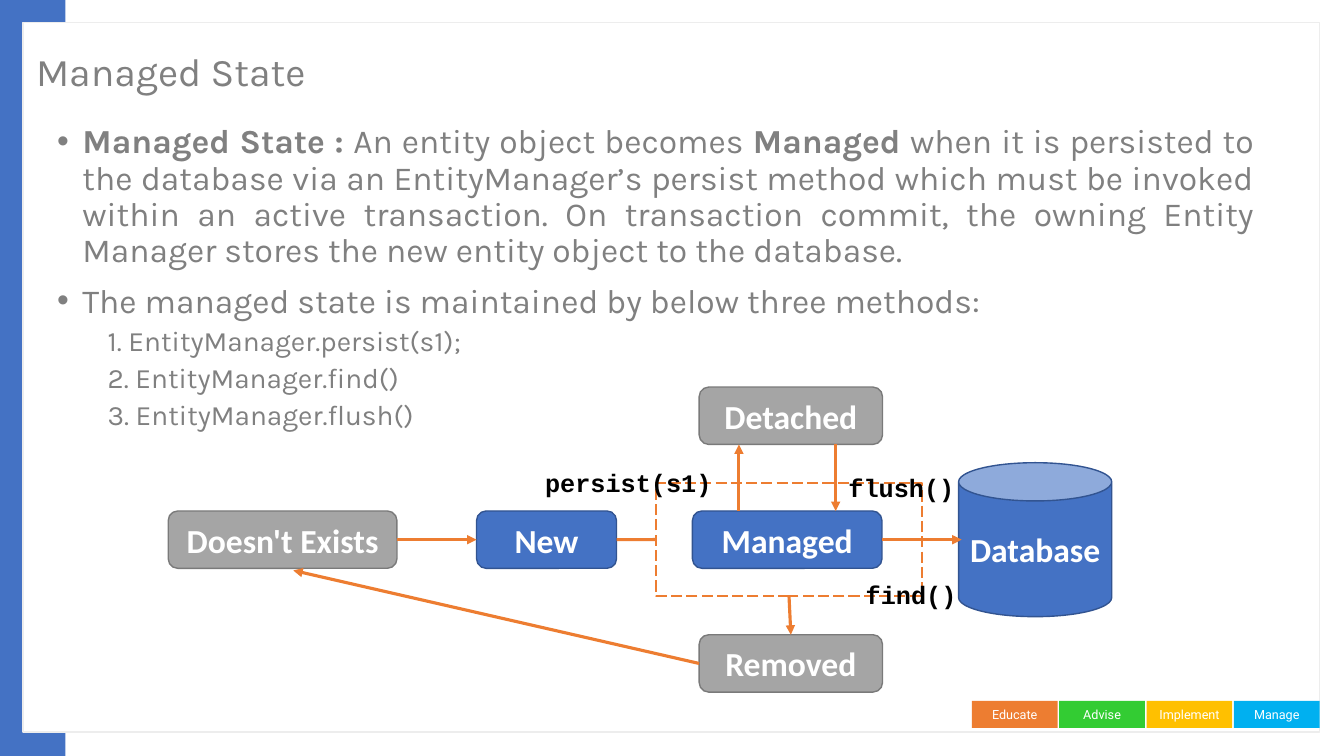
from lxml.etree import SubElement
from pptx import Presentation
from pptx.dml.color import RGBColor
from pptx.enum.dml import MSO_LINE
from pptx.enum.shapes import MSO_CONNECTOR, MSO_SHAPE
from pptx.enum.text import MSO_ANCHOR, PP_ALIGN
from pptx.oxml.ns import qn
from pptx.util import Pt

WHITE = RGBColor(0xFF, 0xFF, 0xFF)
BLACK = RGBColor(0x00, 0x00, 0x00)
TEXT_GRAY = RGBColor(0x80, 0x80, 0x80)
PANEL_EDGE = RGBColor(0xED, 0xED, 0xED)
BLUE = RGBColor(0x44, 0x72, 0xC4)
BLUE_EDGE = RGBColor(0x32, 0x54, 0x91)
GRAY = RGBColor(0xA5, 0xA5, 0xA5)
GRAY_EDGE = RGBColor(0x7A, 0x7A, 0x7A)
ORANGE = RGBColor(0xED, 0x7D, 0x31)
GREEN = RGBColor(0x33, 0xCC, 0x33)
YELLOW = RGBColor(0xFF, 0xC0, 0x00)
SKY = RGBColor(0x00, 0xB0, 0xF0)

TITLE = "Managed State"
# Each bullet is a list of (text, bold) runs
BULLETS = [
    [("Managed State : ", True),
     ("An entity object becomes ", False),
     ("Managed ", True),
     ("when it is persisted to the database via an EntityManager’s persist "
      "method which must be invoked within an active transaction. On "
      "transaction commit, the owning Entity Manager stores the new entity "
      "object to the database.", False)],
    [("The managed state is maintained by below three methods:", False)],
]
METHODS = ["1. EntityManager.persist(s1);", "2. EntityManager.find()",
           "3. EntityManager.flush()"]
TABS = [("Educate", ORANGE), ("Advise", GREEN),
        ("Implement", YELLOW), ("Manage", SKY)]

ROW_Y, BOX_H = 365, 41
# name: left, top, width, fill, edge
STATES = {
    "Managed": (494.6, ROW_Y, 135.4, BLUE, BLUE_EDGE),
    "New": (340.4, ROW_Y, 100, BLUE, BLUE_EDGE),
    "Doesn't Exists": (120.2, ROW_Y, 163.4, GRAY, GRAY_EDGE),
    "Removed": (499.4, 453.4, 131, GRAY, GRAY_EDGE),
    "Detached": (499.4, 276.5, 131, GRAY, GRAY_EDGE),
}
FRAME = (468.6, 345, 190, 80.8)
DATABASE = (684.7, 330.5, 109.4, 110)
CALLS = [("persist(s1)", 382.3, 330.5), ("find()", 611.3, 410.4),
         ("flush()", 599, 334)]
TOP, LEFT, BOTTOM, RIGHT = range(4)


def add_box(s, kind, box, fill, edge=None):
    sp = s.shapes.add_shape(kind, *(Pt(v) for v in box))
    sp.shadow.inherit = False
    sp.fill.solid()
    sp.fill.fore_color.rgb = fill
    if edge is None:
        sp.line.fill.background()
    else:
        sp.line.color.rgb = edge
        sp.line.width = Pt(1)
    return sp


def add_run(p, text, font, size, color, bold=False):
    r = p.add_run()
    r.text = text
    r.font.name = font
    r.font.size = Pt(size)
    r.font.color.rgb = color
    r.font.bold = bold


def label(sp, text, font, size, bold=False):
    """Write white text in the centre of a shape."""
    tf = sp.text_frame
    tf.word_wrap = False
    tf.vertical_anchor = MSO_ANCHOR.MIDDLE
    p = tf.paragraphs[0]
    p.alignment = PP_ALIGN.CENTER
    add_run(p, text, font, size, WHITE, bold)


def add_text_frame(s, *box):
    tf = s.shapes.add_textbox(*(Pt(v) for v in box)).text_frame
    tf.word_wrap = True
    return tf


def set_indent(p, left, first, bullet=None):
    pPr = p._p.get_or_add_pPr()
    pPr.set("marL", str(Pt(left)))
    pPr.set("indent", str(Pt(first)))
    if bullet:
        SubElement(pPr, qn("a:buFont"), typeface="Arial")
        SubElement(pPr, qn("a:buChar"), char=bullet)


def add_line(s, start, end, arrow=True):
    """Join two ends, each an (x, y) point or a (shape, side) pair."""
    points = [(0, 0) if hasattr(e[0], "text_frame") else e for e in (start, end)]
    line = s.shapes.add_connector(
        MSO_CONNECTOR.STRAIGHT, *(Pt(v) for xy in points for v in xy))
    for e, connect in ((start, line.begin_connect), (end, line.end_connect)):
        if hasattr(e[0], "text_frame"):
            connect(*e)
    line.line.color.rgb = ORANGE
    line.line.width = Pt(2.25)
    if arrow:
        SubElement(line.line._get_or_add_ln(), qn("a:tailEnd"), type="triangle")
    SubElement(line._element.spPr, qn("a:effectLst"))


def add_background(s):
    add_box(s, MSO_SHAPE.RECTANGLE, (0, 0, 46.8, 540), BLUE)
    add_box(s, MSO_SHAPE.RECTANGLE, (16.5, 16, 926, 507), WHITE, PANEL_EDGE)
    for i, (name, color) in enumerate(TABS):
        tab = add_box(s, MSO_SHAPE.RECTANGLE,
                      (694.2 + 62.4 * i, 500.6, 61.2, 19.4), color)
        label(tab, name, "Roboto", 9)


def add_content(s):
    tf = add_text_frame(s, 18.7, 21.6, 743, 62.6)
    tf.vertical_anchor = MSO_ANCHOR.MIDDLE
    tf.paragraphs[0].line_spacing = 0.9
    add_run(tf.paragraphs[0], TITLE, "Karla", 28, TEXT_GRAY)

    tf = add_text_frame(s, 33.8, 85.7, 869, 398)
    paragraphs = [(runs, 24, 10, (18, -18, "•")) for runs in BULLETS]
    paragraphs += [([(m, False)], 20, 5, (36, 0)) for m in METHODS]
    for i, (runs, size, before, indent) in enumerate(paragraphs):
        p = tf.add_paragraph() if i else tf.paragraphs[0]
        set_indent(p, *indent)
        p.alignment = PP_ALIGN.JUSTIFY
        p.line_spacing = 0.9
        if i:
            p.space_before = Pt(before)
        for text, bold in runs:
            add_run(p, text, "Karla", size, TEXT_GRAY, bold)


def add_diagram(s):
    frame = add_box(s, MSO_SHAPE.RECTANGLE, FRAME, WHITE, ORANGE)
    frame.line.dash_style = MSO_LINE.LONG_DASH
    state = {}
    for name, (x, y, w, fill, edge) in STATES.items():
        state[name] = add_box(s, MSO_SHAPE.ROUNDED_RECTANGLE,
                              (x, y, w, BOX_H), fill, edge)
        label(state[name], name, "Calibri", 24, True)
    database = add_box(s, MSO_SHAPE.CAN, DATABASE, BLUE, BLUE_EDGE)
    label(database, "Database", "Calibri", 24, True)

    detached_bottom = STATES["Detached"][1] + BOX_H
    add_line(s, (state["Doesn't Exists"], RIGHT), (state["New"], LEFT))
    add_line(s, (state["New"], RIGHT), (frame, LEFT), arrow=False)
    add_line(s, (state["Managed"], RIGHT), (686.9, ROW_Y + BOX_H / 2))
    add_line(s, (frame, BOTTOM), (state["Removed"], TOP))
    add_line(s, (state["Removed"], LEFT), (209.5, 407.5))
    add_line(s, (596.9, detached_bottom), (596.9, ROW_Y))
    add_line(s, (527.8, ROW_Y), (527.8, detached_bottom))

    for text, x, y in CALLS:
        tf = add_text_frame(s, x, y, 134.6, 29)
        add_run(tf.paragraphs[0], text, "Courier New", 18, BLACK, True)


def main():
    prs = Presentation()
    prs.slide_width, prs.slide_height = Pt(960), Pt(540)
    s = prs.slides.add_slide(prs.slide_layouts[6])
    add_background(s)
    add_content(s)
    add_diagram(s)
    prs.save("out.pptx")


if __name__ == "__main__":
    main()
